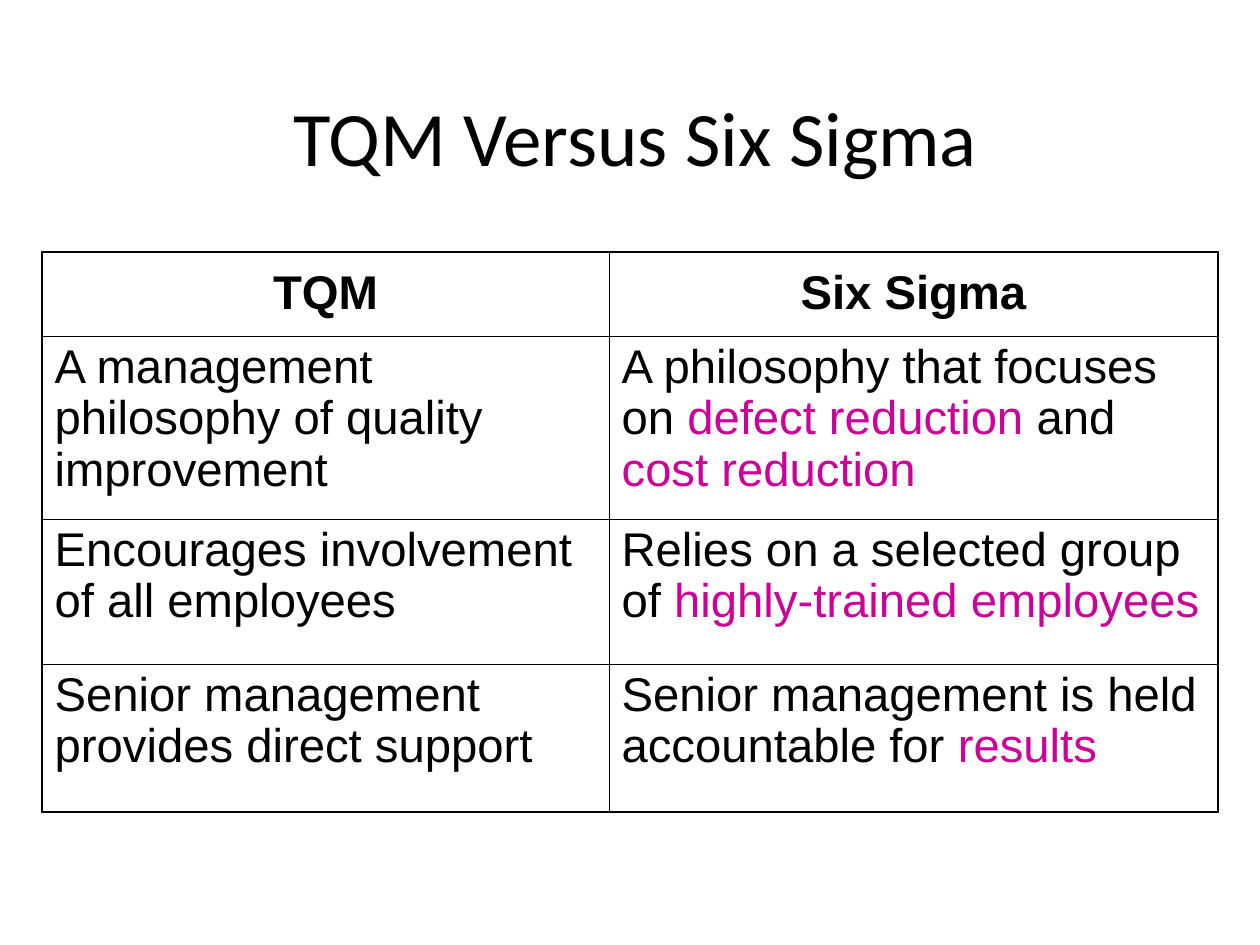
from lxml import etree
from pptx import Presentation, util as u
from pptx.dml.color import RGBColor
from pptx.enum import text
from pptx.oxml.ns import qn

SCALE = 914400 / 126
COLORS = {"ink": "000000", "mark": "CC0099"}
THICK, THIN = 1.08, 0.45


def px(n):
    return u.Emu(round(n * SCALE))


class Deck:
    def __init__(self, wide, high):
        self.prs = Presentation()
        self.prs.slide_width, self.prs.slide_height = px(wide), px(high)
        self.slide = self.prs.slides.add_slide(self.prs.slide_layouts[6])

    def label(self, frame, parts, face, size, bold=False, center=False):
        """Fill a frame with one paragraph; every second part is marked."""
        frame.word_wrap = True
        para = frame.paragraphs[0]
        para.font.name, para.font.size, para.font.bold = face, u.Pt(size), bold
        para.alignment = text.PP_ALIGN.CENTER if center else text.PP_ALIGN.LEFT
        for i, part in enumerate(parts):
            run = para.add_run()
            run.text = part
            key = "mark" if i % 2 else "ink"
            run.font.color.rgb = RGBColor.from_string(COLORS[key])
        return para

    def title(self, words, box):
        frame = self.slide.shapes.add_textbox(*map(px, box)).text_frame
        frame.vertical_anchor = text.MSO_ANCHOR.MIDDLE
        self.label(frame, [words], "Calibri", 44, center=True)

    def border(self, cell, sides):
        """Draw cell borders from a dict of side letter to width in points."""
        props = cell._tc.get_or_add_tcPr()
        for side, width in sides.items():
            line = etree.SubElement(props, qn(f"a:ln{side}"), w=str(u.Pt(width)))
            fill = etree.SubElement(line, qn("a:solidFill"))
            etree.SubElement(fill, qn("a:srgbClr"), val=COLORS["ink"])

    def table(self, rows, left, top, widths, heights):
        box = map(px, (left, top, sum(widths), sum(heights)))
        grid = self.slide.shapes.add_table(len(rows), len(widths), *box).table
        grid.first_row = grid.horz_banding = False
        for col, width in zip(grid.columns, widths):
            col.width = px(width)
        for row, height in zip(grid.rows, heights):
            row.height = px(height)
        for r, row in enumerate(rows):
            for c, parts in enumerate(row):
                cell = grid.cell(r, c)
                edges = {"L": c == 0, "R": c == len(widths) - 1,
                         "T": r == 0, "B": r == len(rows) - 1}
                self.border(cell, {s: THICK if outer else THIN
                                   for s, outer in edges.items()})
                cell.fill.background()
                head = r == 0
                cell.vertical_anchor = (text.MSO_ANCHOR.MIDDLE if head
                                        else text.MSO_ANCHOR.TOP)
                para = self.label(cell.text_frame, parts, "Arial", 27, head, head)
                para.line_spacing = 0.97


ROWS = [
    (["TQM"], ["Six Sigma"]),
    (["A management philosophy of quality improvement"],
     ["A philosophy that focuses on ", "defect reduction", " and ",
      "cost reduction"]),
    (["Encourages involvement of all employees"],
     ["Relies on a selected group of ", "highly-trained employees"]),
    (["Senior management provides direct support"],
     ["Senior management is held accountable for ", "results"]),
]


def main():
    deck = Deck(1260, 945)
    deck.title("TQM Versus Six Sigma", (105, 73, 1061, 126))
    deck.table(ROWS, 42, 252, (567, 609), (84, 183, 145, 148))
    deck.prs.save("out.pptx")


if __name__ == "__main__":
    main()
